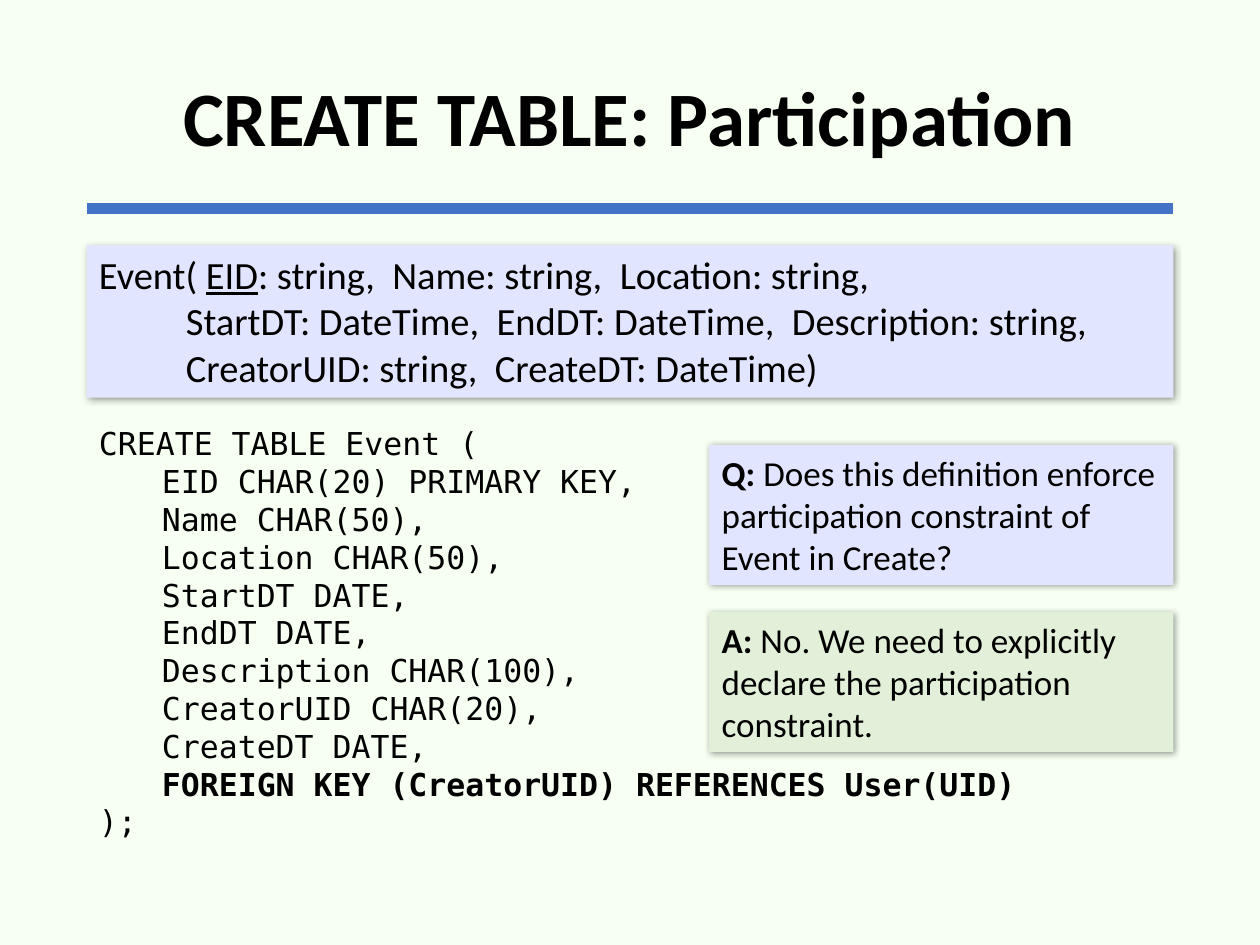
from lxml import etree
from pptx import Presentation
from pptx.dml.color import RGBColor
from pptx.enum.shapes import MSO_CONNECTOR, MSO_SHAPE
from pptx.enum.text import MSO_ANCHOR, MSO_AUTO_SIZE, PP_ALIGN
from pptx.oxml.ns import qn
from pptx.util import Pt

STRAIGHT = MSO_CONNECTOR.STRAIGHT
RECTANGLE = MSO_SHAPE.RECTANGLE
TOP, MIDDLE = MSO_ANCHOR.TOP, MSO_ANCHOR.MIDDLE
FIT_TEXT = MSO_AUTO_SIZE.SHAPE_TO_FIT_TEXT
LEFT, CENTER = PP_ALIGN.LEFT, PP_ALIGN.CENTER

THEME = {
    "background": "F7FFF3", "text": "000000", "rule": "4472C4",
    "question": "E2E5FF", "answer": "E2F0D9",
    "body_font": "Calibri", "code_font": "DejaVu Sans Mono",
    "title": 44, "schema": 22, "callout": 20, "code": 18,
}
SHADOW = {"blurRad": Pt(4), "dist": Pt(1), "dir": 45 * 60000,
          "algn": "tl", "rotWithShape": 0}
SHADOW_OPACITY = 40000

TITLE = "CREATE TABLE: Participation"
SCHEMA_KEY = "EID"
SCHEMA = [
    ["EID: string,", "Name: string,", "Location: string,"],
    ["StartDT: DateTime,", "EndDT: DateTime,", "Description: string,"],
    ["CreatorUID: string,", "CreateDT: DateTime)"],
]
COLUMNS = [
    "EID CHAR(20) PRIMARY KEY,", "Name CHAR(50),", "Location CHAR(50),",
    "StartDT DATE,", "EndDT DATE,", "Description CHAR(100),",
    "CreatorUID CHAR(20),", "CreateDT DATE,",
]
FOREIGN_KEY = "FOREIGN KEY (CreatorUID) REFERENCES User(UID)"
CALLOUTS = [
    ("Q: ", "Does this definition enforce participation constraint of Event in Create?", "question"),
    ("A: ", "No. We need to explicitly declare the participation constraint.", "answer"),
]

SLIDE_WIDTH, SLIDE_HEIGHT = 720, 540
MARGIN = 49.5
CONTENT_WIDTH = SLIDE_WIDTH - 2 * MARGIN
TITLE_TOP, TITLE_HEIGHT = 17.3, 104.4
RULE_TOP, RULE_WEIGHT = 119.3, 6
SCHEMA_TOP, SCHEMA_HEIGHT, SCHEMA_INDENT = 140, 87.3, 49.7
FIELD_GAP = 5
CODE_TOP, CODE_HEIGHT = 239, 250.6
CALLOUT_TOP, CALLOUT_WIDTH, CALLOUT_HEIGHT, CALLOUT_STEP = 254.2, 265.2, 80, 95.5


def color(name):
    return RGBColor.from_string(THEME[name])


def write(shape, paragraphs, size, font="body_font", anchor=TOP, align=LEFT):
    frame = shape.text_frame
    frame.word_wrap = True
    frame.vertical_anchor = anchor
    for index, runs in enumerate(paragraphs):
        paragraph = frame.paragraphs[0] if index == 0 else frame.add_paragraph()
        paragraph.alignment = align
        for text, changes in runs:
            run = paragraph.add_run()
            run.text = text
            run.font.color.rgb = color("text")
            formats = {"name": THEME[font], "size": Pt(THEME[size]), **changes}
            for name, value in formats.items():
                setattr(run.font, name, value)
    return frame


def add_text(slide, top, height, paragraphs, size, **options):
    shape = slide.shapes.add_textbox(Pt(MARGIN), Pt(top), Pt(CONTENT_WIDTH), Pt(height))
    return write(shape, paragraphs, size, **options)


def add_card(slide, left, top, width, height, fill, paragraphs, size):
    shape = slide.shapes.add_shape(RECTANGLE, Pt(left), Pt(top), Pt(width), Pt(height))
    shape.fill.solid()
    shape.fill.fore_color.rgb = color(fill)
    shape.line.fill.background()
    shape.shadow.inherit = False
    effects = shape.element.spPr.find(qn("a:effectLst"))
    shadow = etree.SubElement(effects, qn("a:outerShdw"),
                              {key: str(value) for key, value in SHADOW.items()})
    shade = etree.SubElement(shadow, qn("a:srgbClr"), val=THEME["text"])
    etree.SubElement(shade, qn("a:alpha"), val=str(SHADOW_OPACITY))
    frame = write(shape, paragraphs, size)
    frame.auto_size = FIT_TEXT
    return frame


def add_rule(slide):
    rule = slide.shapes.add_connector(
        STRAIGHT, Pt(MARGIN), Pt(RULE_TOP), Pt(MARGIN + CONTENT_WIDTH), Pt(RULE_TOP))
    rule.line.color.rgb = color("rule")
    rule.line.width = Pt(RULE_WEIGHT)
    etree.SubElement(rule.element.spPr, qn("a:effectLst"))


def schema_runs(fields):
    runs = []
    for field in fields:
        if runs:
            runs.append((" ", {}))
        name, kind = field.split(":")
        if name == SCHEMA_KEY:
            runs += [("Event( ", {}), (name, {"underline": True}), (":" + kind, {})]
        else:
            runs.append((field, {}))
    return runs


def add_schema(slide):
    frame = add_card(slide, MARGIN, SCHEMA_TOP, CONTENT_WIDTH, SCHEMA_HEIGHT,
                     "question", [schema_runs(fields) for fields in SCHEMA], "schema")
    for index, paragraph in enumerate(frame.paragraphs):
        properties = paragraph._p.get_or_add_pPr()
        properties.set("marL", str(Pt(SCHEMA_INDENT)))
        properties.set("indent", str(Pt(-SCHEMA_INDENT if index == 0 else 0)))
        for run in paragraph.runs:
            if run.text == " ":
                run.font._element.set("spc", str(FIELD_GAP * 100))


def main():
    presentation = Presentation()
    presentation.slide_width = Pt(SLIDE_WIDTH)
    presentation.slide_height = Pt(SLIDE_HEIGHT)
    slide = presentation.slides.add_slide(presentation.slide_layouts[6])
    slide.background.fill.solid()
    slide.background.fill.fore_color.rgb = color("background")

    add_rule(slide)
    title = add_text(slide, TITLE_TOP, TITLE_HEIGHT, [[(TITLE, {"bold": True})]],
                     "title", anchor=MIDDLE, align=CENTER)
    title.paragraphs[0].line_spacing = 0.9

    code = [[("CREATE TABLE Event (", {})]]
    code += [[("\t" + column, {})] for column in COLUMNS]
    code += [[("\t", {}), (FOREIGN_KEY, {"bold": True})], [(");", {})]]
    add_text(slide, CODE_TOP, CODE_HEIGHT, code, "code", font="code_font")

    add_schema(slide)
    callout_left = MARGIN + CONTENT_WIDTH - CALLOUT_WIDTH
    for index, (label, text, fill) in enumerate(CALLOUTS):
        add_card(slide, callout_left, CALLOUT_TOP + index * CALLOUT_STEP,
                 CALLOUT_WIDTH, CALLOUT_HEIGHT, fill,
                 [[(label, {"bold": True}), (text, {})]], "callout")
    presentation.save("out.pptx")


if __name__ == "__main__":
    main()
